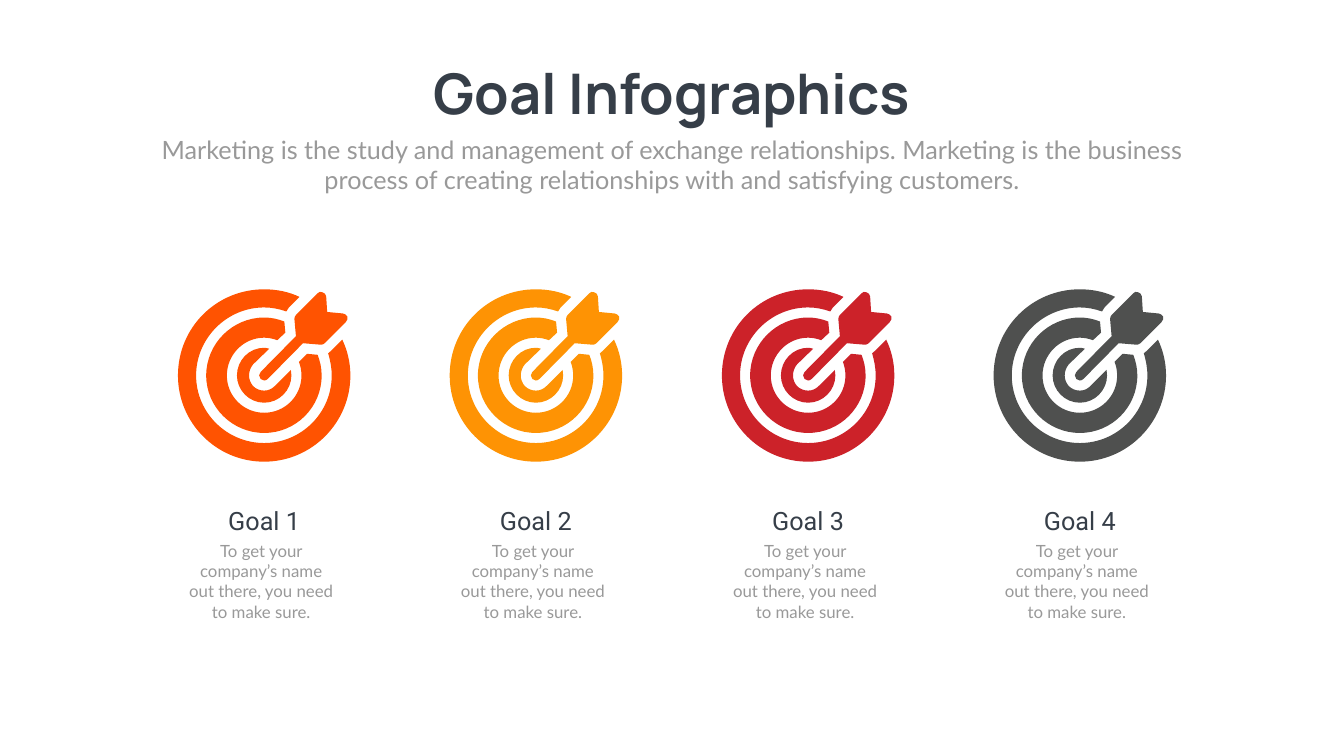
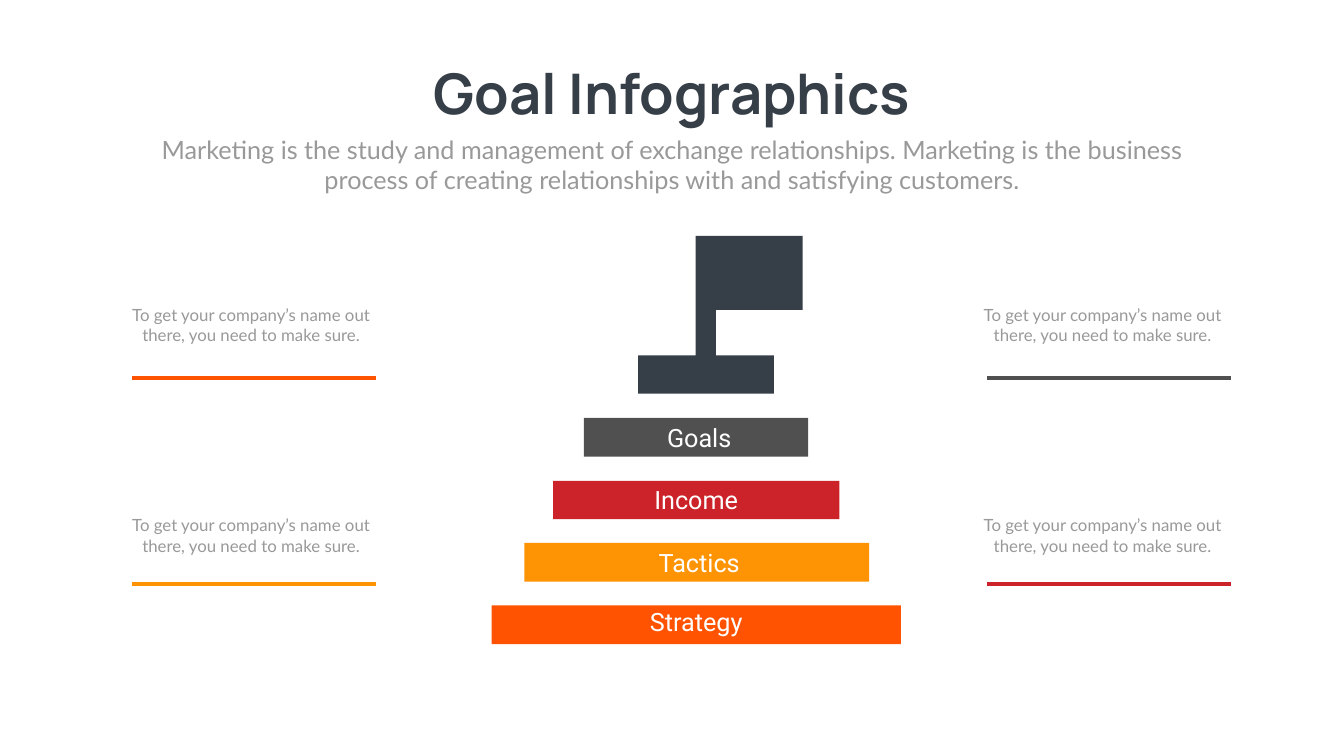
"""Build two goal infographic slides: four targets and a flag-topped pyramid."""
from lxml import etree
from pptx import Presentation
from pptx.dml.color import RGBColor
from pptx.enum.shapes import MSO_CONNECTOR, MSO_SHAPE
from pptx.enum.text import MSO_ANCHOR, MSO_AUTO_SIZE, PP_ALIGN
from pptx.oxml.ns import qn
from pptx.util import Pt

PX = 9144
SLIDE_SIZE = (2666, 1500)
CENTER = PP_ALIGN.CENTER
TOP = MSO_ANCHOR.TOP
FIT = MSO_AUTO_SIZE.SHAPE_TO_FIT_TEXT
RECTANGLE = MSO_SHAPE.RECTANGLE
STRAIGHT = MSO_CONNECTOR.STRAIGHT

NAVY = RGBColor(0x36, 0x3E, 0x48)
GRAY = RGBColor(0x99, 0x99, 0x99)
WHITE = RGBColor(0xFF, 0xFF, 0xFF)
ORANGE = RGBColor(0xFF, 0x53, 0x01)
AMBER = RGBColor(0xFE, 0x93, 0x04)
RED = RGBColor(0xCC, 0x22, 0x29)
CHARCOAL = RGBColor(0x4F, 0x50, 0x4F)

TITLE_STYLE = ("Manrope", 80, NAVY, True)
SUBTITLE_STYLE = ("Lato", 36, GRAY, False)
CAPTION_STYLE = ("Lato", 24, GRAY, False)
GOAL_STYLE = ("Roboto", 36, NAVY, False)
BAR_STYLE = ("Roboto", 36, WHITE, False)

TITLE = "Goal Infographics"
SUBTITLE = ("Marketing is the study and management of exchange relationships. "
            "Marketing is the business process of creating relationships with "
            "and satisfying customers.")
CAPTION = "To get your company’s name out there, you need to make sure."

GOALS = [("Goal 1", ORANGE), ("Goal 2", AMBER), ("Goal 3", RED), ("Goal 4", CHARCOAL)]
FIRST_CENTER, LAST_CENTER, TARGET_Y = 524, 2142, 745

# Two numbers are a corner; six are the controls and end of a curve.
BULLSEYE = [
    (10, -53), (7, -54, 3, -55, 0, -55), (-30, -55, -54, -30, -54, 0),
    (-54, 29, -30, 54, 0, 54), (30, 54, 54, 29, 54, 0), (54, -4, 53, -8, 53, -11),
    (21, 21), (15, 27, 8, 30, 0, 30), (-8, 30, -16, 27, -22, 21),
    (-27, 15, -30, 8, -30, 0), (-30, -8, -27, -16, -22, -22),
]
OUTER_RING = [
    (155, -71), (134, -50), (132, -47, 129, -46, 127, -44),
    (131, -30, 134, -16, 134, 0), (134, 74, 74, 134, 0, 134),
    (-74, 134, -135, 74, -135, 0), (-135, -74, -74, -135, 0, -135),
    (15, -135, 30, -132, 44, -127), (45, -130, 47, -132, 49, -135), (70, -156),
    (49, -166, 25, -171, 0, -171), (-95, -171, -171, -95, -171, 0),
    (-171, 94, -95, 171, 0, 171), (94, 171, 171, 94, 171, 0),
    (171, -26, 165, -50, 155, -71),
]
INNER_RING = [
    (42, -85), (40, -107), (28, -112, 14, -115, 0, -115),
    (-63, -115, -115, -63, -115, 0), (-115, 63, -63, 114, 0, 114),
    (63, 114, 114, 63, 114, 0), (114, -15, 111, -28, 106, -41), (85, -43), (69, -27),
    (72, -19, 74, -10, 74, 0), (74, 41, 41, 74, 0, 74), (-41, 74, -74, 41, -74, 0),
    (-74, -41, -41, -75, 0, -75), (9, -75, 18, -73, 26, -70),
]
DART = [
    (60, -112), (63, -78), (-7, -7), (-11, -4, -11, 3, -7, 7), (-5, 9, -3, 10, 0, 10),
    (2, 10, 5, 9, 7, 7), (77, -64), (113, -61), (115, -61, 118, -62, 120, -64),
    (162, -106), (165, -109, 166, -113, 165, -117), (163, -120, 160, -123, 156, -123),
    (125, -126), (123, -157), (122, -161, 120, -164, 116, -165),
    (112, -167, 108, -166, 106, -163), (63, -120), (61, -118, 60, -115, 60, -112),
]
TARGET = [BULLSEYE, OUTER_RING, INNER_RING, DART]

FLAG = [(1535, 705), (1420, 705), (1420, 615), (1592, 615), (1592, 468), (1380, 468),
        (1380, 705), (1266, 705), (1266, 781), (1535, 781)]
BARS = [
    ("Goals", CHARCOAL, (1158, 829, 445, 77), (1224, 832)),
    ("Income", RED, (1097, 954, 568, 76), (1218, 956)),
    ("Tactics", AMBER, (1040, 1077, 684, 77), (1224, 1081)),
    ("Strategy", ORANGE, (975, 1201, 812, 77), (1218, 1199)),
]
COLUMNS = [(251, 262, (ORANGE, AMBER)), (1940, 1958, (CHARCOAL, RED))]
ROWS = [(600, 750), (1017, 1158)]
RULE_WIDTH = 483


def emu(*lengths):
    return [length * PX for length in lengths]


def write(box, text, style, wrap=True):
    font_name, size, color, bold = style
    frame = box.text_frame
    frame.word_wrap = wrap
    frame.auto_size = FIT
    frame.vertical_anchor = TOP
    para = frame.paragraphs[0]
    para.alignment = CENTER
    para.space_before = Pt(0)
    span = para.add_run()
    span.text = text
    span.font.name = font_name
    span.font.size = Pt(size)
    span.font.bold = bold
    span.font.color.rgb = color


def add_text(page, place, text, style):
    write(page.shapes.add_textbox(*emu(*place)), text, style)


def paint(shape, color):
    shape.shadow.inherit = False
    shape.fill.solid()
    shape.fill.fore_color.rgb = color
    shape.line.fill.background()


def bend_sides(shape, outline, left, top):
    sides = list(shape._element.iter(qn("a:lnTo")))
    for side, step in zip(sides, outline[1:]):
        if len(step) == 6:
            side.tag = qn("a:cubicBezTo")
            for order, (x, y) in enumerate((step[:2], step[2:4])):
                across, down = emu(left + x, top + y)
                control = etree.Element(qn("a:pt"), x=str(across - shape.left),
                                        y=str(down - shape.top))
                side.insert(order, control)


def add_outline(page, outline, color, left=0, top=0):
    points = [emu(left + step[-2], top + step[-1]) for step in outline]
    builder = page.shapes.build_freeform(*points[0])
    builder.add_line_segments(points[1:], close=True)
    shape = builder.convert_to_shape()
    bend_sides(shape, outline, left, top)
    paint(shape, color)


def add_rule(page, left, top, color):
    rule = page.shapes.add_connector(STRAIGHT, *emu(left, top, left + RULE_WIDTH, top))
    rule.line.color.rgb = color
    rule.line.width = Pt(6)
    etree.SubElement(rule._element.spPr, qn("a:effectLst"))


def add_page(deck):
    page = deck.slides.add_slide(deck.slide_layouts[0])
    title, subtitle = page.placeholders
    for box, place in ((title, (810, 112, 1047, 145)), (subtitle, (292, 261, 2082, 131))):
        box.left, box.top, box.width, box.height = emu(*place)
    write(title, TITLE, TITLE_STYLE, wrap=False)
    write(subtitle, SUBTITLE, SUBTITLE_STYLE)
    return page


def build_targets(deck):
    page = add_page(deck)
    pitch = (LAST_CENTER - FIRST_CENTER) / (len(GOALS) - 1)
    for index, (goal, color) in enumerate(GOALS):
        center = round(FIRST_CENTER + index * pitch)
        add_text(page, (center - 163, 1068, 314, 172), CAPTION, CAPTION_STYLE)
        add_text(page, (center - 163, 997, 326, 71), goal, GOAL_STYLE)
        for outline in TARGET:
            add_outline(page, outline, color, center, TARGET_Y)


def build_pyramid(deck):
    page = add_page(deck)
    for caption_left, rule_left, colors in COLUMNS:
        for (caption_top, rule_top), color in zip(ROWS, colors):
            add_text(page, (caption_left, caption_top, 494, 91), CAPTION, CAPTION_STYLE)
            add_rule(page, rule_left, rule_top, color)
    add_outline(page, FLAG, NAVY)
    for label, color, place, label_corner in BARS:
        paint(page.shapes.add_shape(RECTANGLE, *emu(*place)), color)
        add_text(page, (*label_corner, 326, 71), label, BAR_STYLE)


def main():
    deck = Presentation()
    deck.slide_width, deck.slide_height = emu(*SLIDE_SIZE)
    build_targets(deck)
    build_pyramid(deck)
    deck.save("out.pptx")


if __name__ == "__main__":
    main()
